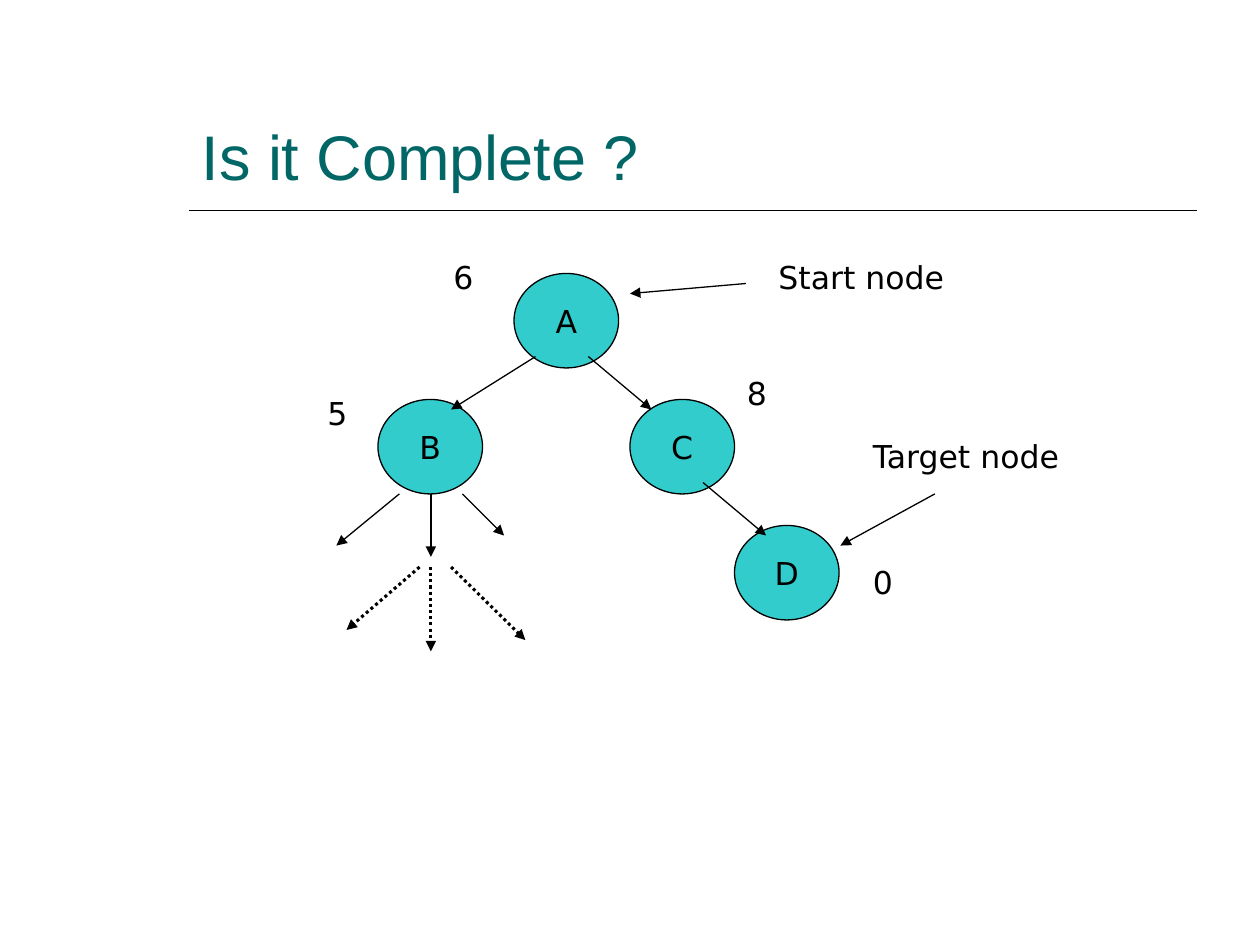
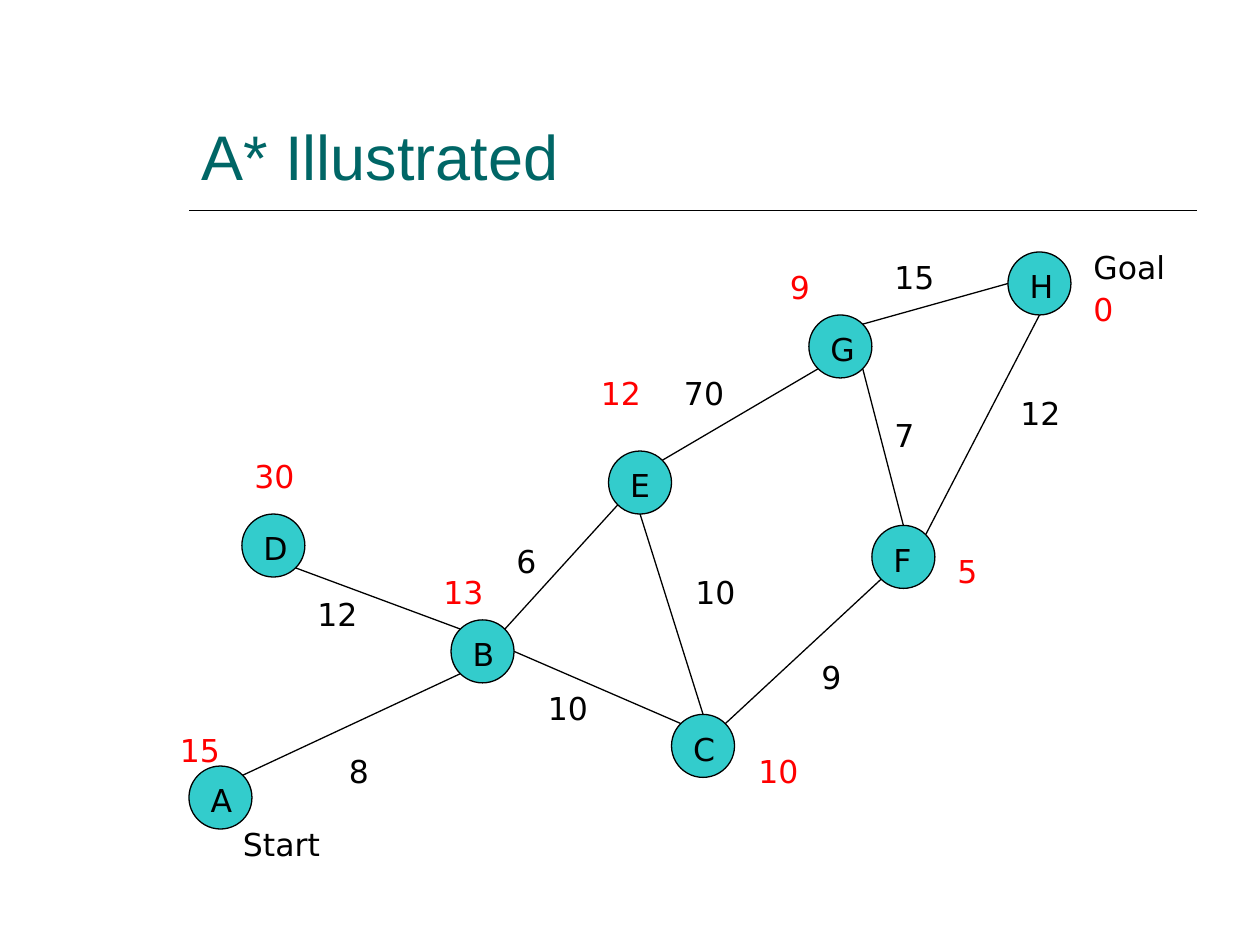
"""Build two slides about graph search: a small tree and a weighted graph."""
from typing import NamedTuple, Optional

from lxml.etree import SubElement
from pptx import Presentation
from pptx.dml.color import RGBColor
from pptx.enum.dml import MSO_LINE
from pptx.enum.shapes import MSO_CONNECTOR, MSO_SHAPE
from pptx.enum.text import MSO_ANCHOR, MSO_AUTO_SIZE, PP_ALIGN
from pptx.oxml.ns import qn
from pptx.slide import Slide
from pptx.util import Inches, Pt

BLACK = RGBColor(0x00, 0x00, 0x00)
RED = RGBColor(0xFF, 0x00, 0x00)
TEAL = RGBColor(0x00, 0x66, 0x66)
AQUA = RGBColor(0x33, 0xCC, 0xCC)
TITLE_FONT = "Arial"
BODY_FONT = "DejaVu Sans"
LABEL_HEIGHT = 0.4
TREE_NODE_SIZE = (0.83, 0.75)
GRAPH_NODE_SIZE = (0.5, 0.5)
GRAPH_RADIUS = 0.25
DIAGONAL = 0.71
COMPASS = {
    "N": (0, -1), "S": (0, 1), "W": (-1, 0), "E": (1, 0),
    "NW": (-DIAGONAL, -DIAGONAL), "NE": (DIAGONAL, -DIAGONAL),
    "SW": (-DIAGONAL, DIAGONAL), "SE": (DIAGONAL, DIAGONAL),
}


class Node(NamedTuple):
    name: str
    left: float
    top: float


class Label(NamedTuple):
    text: str
    left: float
    top: float
    width: float
    color: RGBColor = BLACK


class Line(NamedTuple):
    x1: float
    y1: float
    x2: float
    y2: float
    width: float = 0.75
    dash: Optional[MSO_LINE] = None
    arrow: bool = False


class Edge(NamedTuple):
    start: str
    start_side: str
    end: str
    end_side: str


TREE_NODES = [Node("A", 4.08, 2.17), Node("B", 3, 3.17),
              Node("C", 5, 3.17), Node("D", 5.83, 4.17)]
TREE_ARROWS = [
    (4.25, 2.83, 3.58, 3.25), (4.67, 2.83, 5.17, 3.25),
    (5.58, 3.83, 6.08, 4.25), (7.42, 3.92, 6.67, 4.33),
    (3.17, 3.92, 2.67, 4.33), (3.42, 3.92, 3.42, 4.42),
    (3.67, 3.92, 4, 4.25), (5.92, 2.25, 5, 2.33),
]
DOTTED_ARROWS = [(3.33, 4.5, 2.75, 5), (3.58, 4.5, 4.17, 5.08),
                 (3.42, 4.5, 3.42, 5.17)]
TREE_LABELS = [
    Label("Start node", 6.08, 2, 1.92), Label("Target node", 6.83, 3.42, 1.92),
    Label("6", 3.5, 2, 0.5), Label("5", 2.5, 3.08, 0.5),
    Label("8", 5.83, 2.92, 0.5), Label("0", 6.83, 4.42, 0.5),
]

GRAPH_NODES = [
    Node("A", 1.5, 6.08), Node("D", 1.92, 4.08), Node("B", 3.58, 4.92),
    Node("C", 5.33, 5.67), Node("E", 4.83, 3.58), Node("F", 6.92, 4.17),
    Node("G", 6.42, 2.5), Node("H", 8, 2),
]
GRAPH_EDGES = [
    Edge("A", "NE", "B", "SW"), Edge("B", "NW", "D", "SE"),
    Edge("B", "E", "C", "NW"), Edge("B", "NE", "E", "SW"),
    Edge("C", "NE", "F", "SW"), Edge("E", "S", "C", "N"),
    Edge("E", "NE", "G", "SW"), Edge("F", "N", "G", "SE"),
    Edge("G", "NE", "H", "W"), Edge("F", "NE", "H", "S"),
]
EDGE_COSTS = [
    ("8", 2.67, 5.92), ("12", 2.42, 4.67), ("10", 4.25, 5.42),
    ("6", 4, 4.25), ("9", 6.42, 5.17), ("10", 5.42, 4.5),
    ("70", 5.33, 2.92), ("7", 7, 3.25), ("12", 8, 3.08), ("15", 7, 2),
]
END_LABELS = [Label("Start", 1.83, 6.5, 1.08), Label("Goal", 8.58, 1.92, 0.92)]
HEURISTICS = [
    ("15", 1.33, 5.75), ("30", 1.92, 3.58), ("13", 3.42, 4.5),
    ("10", 5.92, 5.92), ("5", 7.5, 4.33), ("12", 4.67, 2.92),
    ("9", 6.17, 2.08), ("0", 8.58, 2.25),
]


def set_text(tf, text: str, size: float, font: str, color: RGBColor,
             align: PP_ALIGN = PP_ALIGN.LEFT) -> None:
    """Write one formatted paragraph into a text frame."""
    tf.text = text
    p = tf.paragraphs[0]
    p.alignment = align
    r = p.runs[0]
    r.font.size = Pt(size)
    r.font.name = font
    r.font.color.rgb = color


def add_line(s: Slide, line: Line) -> None:
    """Draw a straight line, dashed or with an arrowhead if asked."""
    ends = (Inches(v) for v in (line.x1, line.y1, line.x2, line.y2))
    sp = s.shapes.add_connector(MSO_CONNECTOR.STRAIGHT, *ends)
    sp.line.color.rgb = BLACK
    sp.line.width = Pt(line.width)
    if line.dash is not None:
        sp.line.dash_style = line.dash
    if line.arrow:
        SubElement(sp.line._get_or_add_ln(), qn("a:tailEnd"), type="triangle")
    SubElement(sp._element.spPr, qn("a:effectLst"))


def add_node(s: Slide, node: Node, size: tuple[float, float],
             centred: bool) -> None:
    """Draw a named ellipse."""
    sp = s.shapes.add_shape(MSO_SHAPE.OVAL, Inches(node.left), Inches(node.top),
                            Inches(size[0]), Inches(size[1]))
    sp.shadow.inherit = False
    sp.fill.solid()
    sp.fill.fore_color.rgb = AQUA
    sp.line.color.rgb = BLACK
    sp.line.width = Pt(0.75)
    tf = sp.text_frame
    tf.word_wrap = not centred
    tf.vertical_anchor = MSO_ANCHOR.MIDDLE if centred else MSO_ANCHOR.TOP
    set_text(tf, node.name, 18, BODY_FONT, BLACK,
             PP_ALIGN.CENTER if centred else PP_ALIGN.LEFT)


def add_label(s: Slide, label: Label) -> None:
    """Place a free-standing label."""
    sp = s.shapes.add_textbox(Inches(label.left), Inches(label.top),
                              Inches(label.width), Inches(LABEL_HEIGHT))
    tf = sp.text_frame
    tf.word_wrap = True
    tf.auto_size = MSO_AUTO_SIZE.SHAPE_TO_FIT_TEXT
    set_text(tf, label.text, 18, BODY_FONT, label.color)


def add_titled_slide(prs: Presentation, title: str) -> Slide:
    """Add a slide with the shared title style and the rule beneath it."""
    s = prs.slides.add_slide(prs.slide_layouts[5])
    sp = s.shapes.title
    sp.left, sp.top = Inches(1.5), Inches(0.33)
    sp.width, sp.height = Inches(8), Inches(1.25)
    tf = sp.text_frame
    tf.auto_size = MSO_AUTO_SIZE.NONE
    tf.vertical_anchor = MSO_ANCHOR.BOTTOM
    set_text(tf, title, 36, TITLE_FONT, TEAL)
    add_line(s, Line(1.5, 1.67, 9.5, 1.67, width=1))
    return s


def rim_point(node: Node, side: str) -> tuple[float, float]:
    """Return the point on a graph node's rim at a compass side."""
    dx, dy = COMPASS[side]
    return (node.left + GRAPH_RADIUS * (1 + dx),
            node.top + GRAPH_RADIUS * (1 + dy))


def build_tree(prs: Presentation) -> None:
    """Build the slide with the search tree."""
    s = add_titled_slide(prs, "Is it Complete ?")
    for node in TREE_NODES:
        add_node(s, node, TREE_NODE_SIZE, centred=True)
    for ends in TREE_ARROWS:
        add_line(s, Line(*ends, arrow=True))
    for label in TREE_LABELS:
        add_label(s, label)
    for ends in DOTTED_ARROWS:
        add_line(s, Line(*ends, width=1.75, dash=MSO_LINE.ROUND_DOT, arrow=True))


def build_graph(prs: Presentation) -> None:
    """Build the slide with the weighted graph."""
    s = add_titled_slide(prs, "A* Illustrated")
    for node in GRAPH_NODES:
        add_node(s, node, GRAPH_NODE_SIZE, centred=False)
    nodes = {node.name: node for node in GRAPH_NODES}
    for edge in GRAPH_EDGES:
        add_line(s, Line(*rim_point(nodes[edge.start], edge.start_side),
                         *rim_point(nodes[edge.end], edge.end_side)))
    costs = [Label(*cost, width=0.58) for cost in EDGE_COSTS]
    heuristics = [Label(*value, width=0.67, color=RED) for value in HEURISTICS]
    for label in costs + END_LABELS + heuristics:
        add_label(s, label)


def main() -> None:
    """Create and save the presentation."""
    prs = Presentation()
    prs.slide_width, prs.slide_height = Inches(10), Inches(7.5)
    build_tree(prs)
    build_graph(prs)
    prs.save("out.pptx")


if __name__ == "__main__":
    main()
